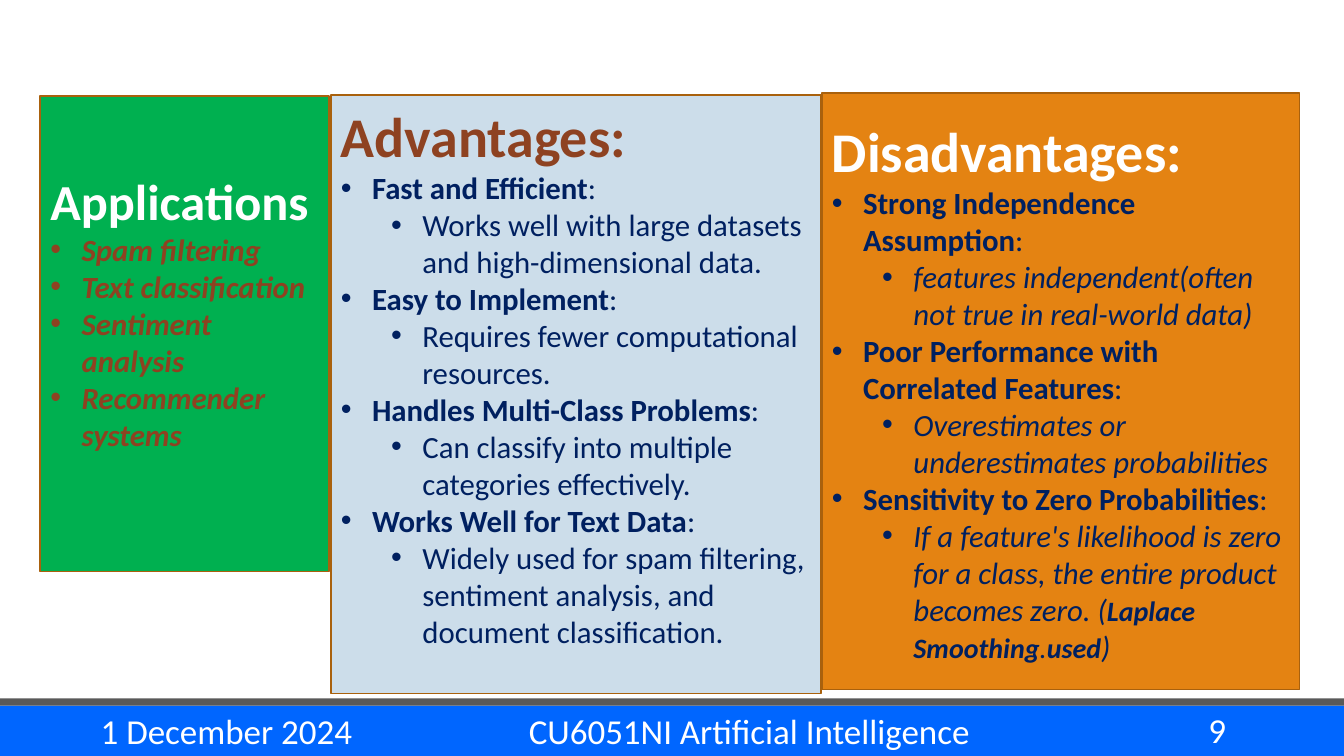
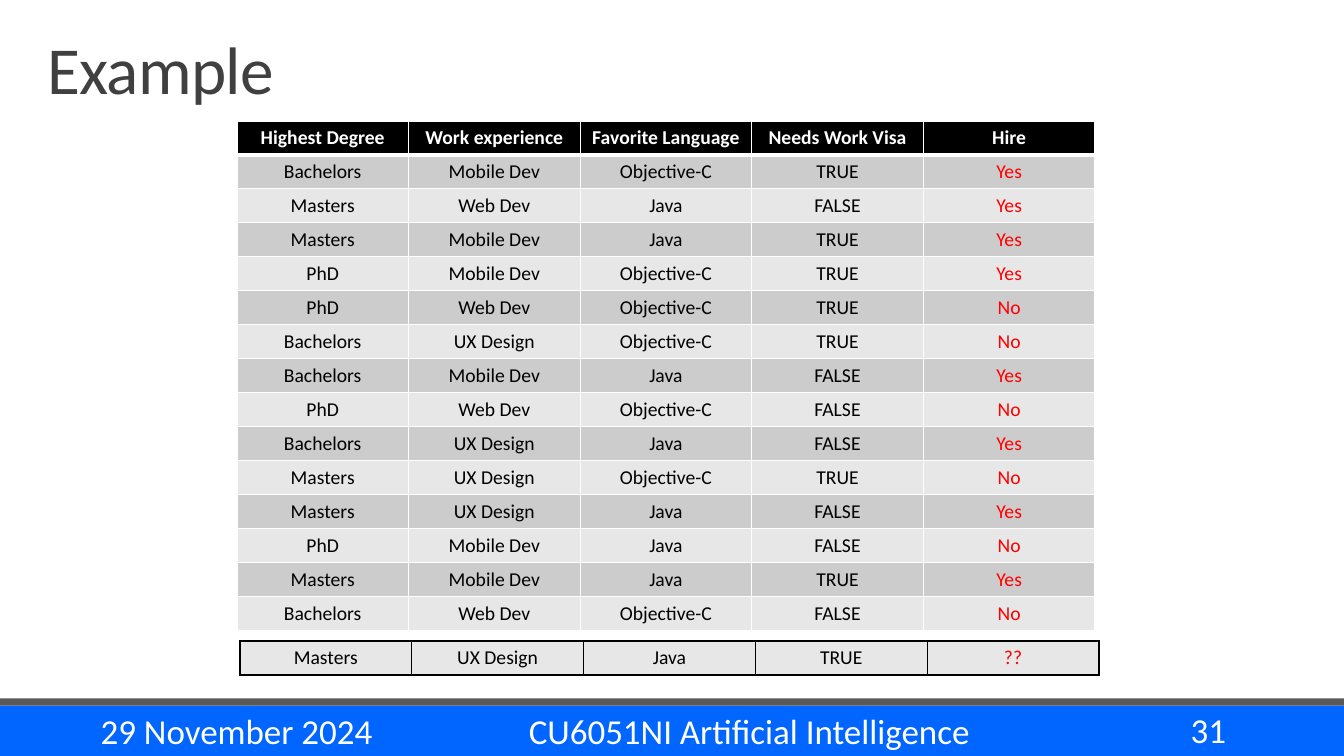
from dataclasses import dataclass
from typing import Any, NamedTuple

import pptx
import pptx.dml.color
import pptx.enum.shapes
import pptx.enum.text
import pptx.oxml
import pptx.oxml.ns
import pptx.presentation
import pptx.shapes.base
import pptx.slide
import pptx.table
import pptx.text.text
import pptx.util

Inches = pptx.util.Inches
Pt = pptx.util.Pt
RGBColor = pptx.dml.color.RGBColor
Align = pptx.enum.text.PP_ALIGN
Anchor = pptx.enum.text.MSO_ANCHOR

WHITE = RGBColor(0xFF, 0xFF, 0xFF)
BLACK = RGBColor(0x00, 0x00, 0x00)
RED = RGBColor(0xFF, 0x00, 0x00)
BAND_BLUE = RGBColor(0x00, 0x66, 0xFF)
RULE_GRAY = RGBColor(0x59, 0x59, 0x59)
TITLE_GRAY = RGBColor(0x40, 0x40, 0x40)
PANEL_EDGE = RGBColor(0xA9, 0x61, 0x0D)
GREEN = RGBColor(0x00, 0xB0, 0x50)
PALE_BLUE = RGBColor(0xCC, 0xDD, 0xEA)
ORANGE = RGBColor(0xE4, 0x83, 0x12)
BROWN = RGBColor(0x8E, 0x42, 0x21)
NAVY = RGBColor(0x00, 0x20, 0x60)
ROW_DARK = RGBColor(0xCC, 0xCC, 0xCC)
ROW_LIGHT = RGBColor(0xE7, 0xE7, 0xE7)

FONT = "Calibri"
COURSE = "CU6051NI Artificial Intelligence"
COMPARISON_LAYOUT = 4
TITLE_ONLY_LAYOUT = 5
BULLET_INDENT = 0.31
LEVEL_STEP = 0.5


class Box(NamedTuple):
    left: float
    top: float
    width: float
    height: float


class Band(NamedTuple):
    box: Box
    color: RGBColor


class FooterPart(NamedTuple):
    box: Box
    align: Align


class Candidate(NamedTuple):
    degree: str
    experience: str
    language: str
    visa: str
    hire: str


@dataclass(frozen=True)
class Phrase:
    text: str
    bold: bool = False
    italic: bool = False
    size: int = 22


@dataclass(frozen=True)
class Point:
    phrases: tuple[Phrase, ...]
    level: int = 0


@dataclass(frozen=True)
class Panel:
    heading: str
    heading_size: int
    heading_color: RGBColor
    box: Box
    text_inset: float
    fill: RGBColor
    text_color: RGBColor
    points: tuple[Point, ...]


def claim(text: str) -> Point:
    return Point((Phrase(text, bold=True), Phrase(":")))


def detail(text: str, italic: bool = False) -> Point:
    return Point((Phrase(text, italic=italic),), level=1)


BANDS = (
    Band(Box(0, 7, 13.33, 0.5), BAND_BLUE),
    Band(Box(0, 6.93, 13.33, 0.07), RULE_GRAY),
)
FOOTER_PARTS = (
    FooterPart(Box(0.9, 7.05, 3.24, 0.4), Align.LEFT),
    FooterPart(Box(4.64, 7.05, 5.58, 0.4), Align.CENTER),
    FooterPart(Box(10.83, 7.04, 1.43, 0.4), Align.RIGHT),
)

APPLICATIONS = ("Spam filtering", "Text classification", "Sentiment analysis", "Recommender systems")
PANELS = (
    Panel(
        "Applications", 36, WHITE, Box(0.4, 0.95, 2.86, 4.72), 0.74, GREEN, BROWN,
        tuple(Point((Phrase(use, bold=True, italic=True),)) for use in APPLICATIONS),
    ),
    Panel(
        "Advantages:", 40, BROWN, Box(3.28, 0.94, 4.86, 5.94), 0.07, PALE_BLUE, NAVY,
        (
            claim("Fast and Efficient"),
            detail("Works well with large datasets and high-dimensional data."),
            claim("Easy to Implement"),
            detail("Requires fewer computational resources."),
            claim("Handles Multi-Class Problems"),
            detail("Can classify into multiple categories effectively."),
            claim("Works Well for Text Data"),
            detail("Widely used for spam filtering, sentiment analysis, and document classification."),
        ),
    ),
    Panel(
        "Disadvantages:", 40, WHITE, Box(8.15, 0.92, 4.74, 5.92), 0.24, ORANGE, NAVY,
        (
            claim("Strong Independence Assumption"),
            detail("features independent(often not true in real-world data)", italic=True),
            claim("Poor Performance with Correlated Features"),
            detail("Overestimates or underestimates probabilities", italic=True),
            claim("Sensitivity to Zero Probabilities"),
            Point(
                (
                    Phrase("If a feature's likelihood is zero for a class, the entire product becomes zero. (", italic=True),
                    Phrase("Laplace Smoothing", bold=True, italic=True, size=20),
                    Phrase(".", italic=True, size=20),
                    Phrase("used", bold=True, italic=True, size=20),
                    Phrase(")", italic=True),
                ),
                level=1,
            ),
        ),
    ),
)

HEADER = Candidate("Highest Degree", "Work experience", "Favorite Language", "Needs Work Visa", "Hire")
CANDIDATES = (
    Candidate("Bachelors", "Mobile Dev", "Objective-C", "TRUE", "Yes"),
    Candidate("Masters", "Web Dev", "Java", "FALSE", "Yes"),
    Candidate("Masters", "Mobile Dev", "Java", "TRUE", "Yes"),
    Candidate("PhD", "Mobile Dev", "Objective-C", "TRUE", "Yes"),
    Candidate("PhD", "Web Dev", "Objective-C", "TRUE", "No"),
    Candidate("Bachelors", "UX Design", "Objective-C", "TRUE", "No"),
    Candidate("Bachelors", "Mobile Dev", "Java", "FALSE", "Yes"),
    Candidate("PhD", "Web Dev", "Objective-C", "FALSE", "No"),
    Candidate("Bachelors", "UX Design", "Java", "FALSE", "Yes"),
    Candidate("Masters", "UX Design", "Objective-C", "TRUE", "No"),
    Candidate("Masters", "UX Design", "Java", "FALSE", "Yes"),
    Candidate("PhD", "Mobile Dev", "Java", "FALSE", "No"),
    Candidate("Masters", "Mobile Dev", "Java", "TRUE", "Yes"),
    Candidate("Bachelors", "Web Dev", "Objective-C", "FALSE", "No"),
)
NEW_CANDIDATE = Candidate("Masters", "UX Design", "Java", "TRUE", "??")


def apply_format(target: Any, values: dict[str, Any]) -> None:
    for attribute, value in values.items():
        setattr(target, attribute, value)


def emu(box: Box) -> tuple[int, ...]:
    return tuple(Inches(length) for length in box)


def place(shape: pptx.shapes.base.BaseShape, box: Box) -> None:
    apply_format(shape, dict(zip(box._fields, emu(box))))


def add_phrase(
    paragraph: pptx.text.text._Paragraph, phrase: Phrase, color: RGBColor
) -> pptx.text.text._Run:
    run = paragraph.add_run()
    run.text = phrase.text
    apply_format(
        run.font,
        {"name": FONT, "size": Pt(phrase.size), "bold": phrase.bold, "italic": phrase.italic},
    )
    run.font.color.rgb = color
    return run


def set_bullet(paragraph: pptx.text.text._Paragraph, margin: float, bullet: str = "") -> None:
    properties = paragraph._p.get_or_add_pPr()
    properties.set("marL", str(Inches(margin)))
    properties.set("indent", str(-Inches(BULLET_INDENT) if bullet else 0))
    if bullet:
        pptx.oxml.ns.qn("a:buFont")
        properties.append(pptx.oxml.parse_xml(f'<a:buFont {pptx.oxml.ns.nsdecls("a")} typeface="Arial"/>'))
        mark = f'<a:buChar {pptx.oxml.ns.nsdecls("a")} char="{bullet}"/>'
    else:
        mark = f'<a:buNone {pptx.oxml.ns.nsdecls("a")}/>'
    properties.append(pptx.oxml.parse_xml(mark))


def add_master_bands(deck: pptx.presentation.Presentation, slide: pptx.slide.Slide) -> None:
    tree = deck.slide_master.element.cSld.spTree
    for number, band in enumerate(BANDS):
        bar = slide.shapes.add_shape(pptx.enum.shapes.MSO_SHAPE.RECTANGLE, *emu(band.box))
        bar.shadow.inherit = False
        bar.fill.solid()
        bar.fill.fore_color.rgb = band.color
        bar.line.fill.background()
        bar.element.nvSpPr.cNvPr.set("id", str(100 + number))
        tree.insert(2 + number, bar.element)


def add_footer(slide: pptx.slide.Slide, date: str, number: str) -> None:
    for part, text in zip(FOOTER_PARTS, (date, COURSE, number)):
        frame = slide.shapes.add_textbox(*emu(part.box)).text_frame
        apply_format(frame, {"word_wrap": True, "vertical_anchor": Anchor.MIDDLE})
        frame.paragraphs[0].alignment = part.align
        add_phrase(frame.paragraphs[0], Phrase(text, size=25), WHITE)


def fill_panel(placeholder: pptx.shapes.base.BaseShape, panel: Panel) -> None:
    place(placeholder, panel.box)
    placeholder.fill.solid()
    placeholder.fill.fore_color.rgb = panel.fill
    placeholder.line.color.rgb = PANEL_EDGE
    placeholder.line.width = Pt(1.25)
    frame = placeholder.text_frame
    apply_format(frame, {
        "word_wrap": True,
        "auto_size": pptx.enum.text.MSO_AUTO_SIZE.NONE,
        "vertical_anchor": Anchor.TOP,
        "margin_top": Inches(panel.text_inset),
    })
    heading = frame.paragraphs[0]
    set_bullet(heading, 0)
    add_phrase(heading, Phrase(panel.heading, bold=True, size=panel.heading_size), panel.heading_color)
    for point in panel.points:
        paragraph = frame.add_paragraph()
        paragraph.level = point.level
        set_bullet(paragraph, BULLET_INDENT + LEVEL_STEP * point.level, "•")
        for phrase in point.phrases:
            add_phrase(paragraph, phrase, panel.text_color)
    for paragraph in frame.paragraphs:
        apply_format(paragraph, {"space_before": Pt(0), "space_after": Pt(0), "alignment": Align.LEFT})


def set_borders(cell: pptx.table._Cell, color: RGBColor, widths: dict[str, float]) -> None:
    properties = cell._tc.get_or_add_tcPr()
    for side, width in widths.items():
        properties.append(pptx.oxml.parse_xml(
            f'<a:ln{side} {pptx.oxml.ns.nsdecls("a")} w="{Pt(width)}">'
            f'<a:solidFill><a:srgbClr val="{color}"/></a:solidFill></a:ln{side}>'
        ))


def add_candidates(
    slide: pptx.slide.Slide, box: Box, rows: tuple[Candidate, ...], border: RGBColor, has_header: bool
) -> None:
    table = slide.shapes.add_table(len(rows), len(HEADER), *emu(box)).table
    apply_format(table, {"first_row": has_header, "horz_banding": False})
    for row_index, candidate in enumerate(rows):
        is_header = has_header and row_index == 0
        row_fill = BLACK if is_header else ROW_DARK if row_index % 2 else ROW_LIGHT
        top = 3 if has_header and row_index == 1 else 1
        for column, (field, text) in enumerate(candidate._asdict().items()):
            cell = table.cell(row_index, column)
            set_borders(cell, border, {"L": 1, "R": 1, "T": top, "B": 3 if is_header else 1})
            cell.fill.solid()
            cell.fill.fore_color.rgb = row_fill
            color = WHITE if is_header else RED if field == "hire" else BLACK
            paragraph = cell.text_frame.paragraphs[0]
            paragraph.alignment = Align.CENTER
            add_phrase(paragraph, Phrase(text, bold=is_header, size=14), color)


def build_comparison(deck: pptx.presentation.Presentation) -> None:
    slide = deck.slides.add_slide(deck.slide_layouts[COMPARISON_LAYOUT])
    add_master_bands(deck, slide)
    title, *bodies = list(slide.placeholders)
    for body, panel in zip(bodies, PANELS):
        fill_panel(body, panel)
    for unused in (title, *bodies[len(PANELS):]):
        unused.element.getparent().remove(unused.element)
    add_footer(slide, "1 December 2024", "9")


def build_example(deck: pptx.presentation.Presentation) -> None:
    slide = deck.slides.add_slide(deck.slide_layouts[TITLE_ONLY_LAYOUT])
    title = slide.shapes.title
    place(title, Box(0.37, 0.26, 12.59, 0.86))
    apply_format(title.text_frame, {
        "vertical_anchor": Anchor.BOTTOM, "auto_size": pptx.enum.text.MSO_AUTO_SIZE.NONE,
    })
    paragraph = title.text_frame.paragraphs[0]
    apply_format(paragraph, {"alignment": Align.LEFT, "line_spacing": 0.85})
    heading = add_phrase(paragraph, Phrase("Example", size=48), TITLE_GRAY)
    heading.font._element.set("spc", "-50")
    add_candidates(slide, Box(2.35, 1.2, 8.51, 5), (HEADER, *CANDIDATES), WHITE, True)
    add_candidates(slide, Box(2.38, 6.36, 8.52, 0.33), (NEW_CANDIDATE,), BLACK, False)
    add_footer(slide, "29 November 2024", "31")


def main() -> None:
    deck = pptx.Presentation()
    apply_format(deck, {"slide_width": Inches(13.33), "slide_height": Inches(7.5)})
    build_comparison(deck)
    build_example(deck)
    deck.save("out.pptx")


if __name__ == "__main__":
    main()
